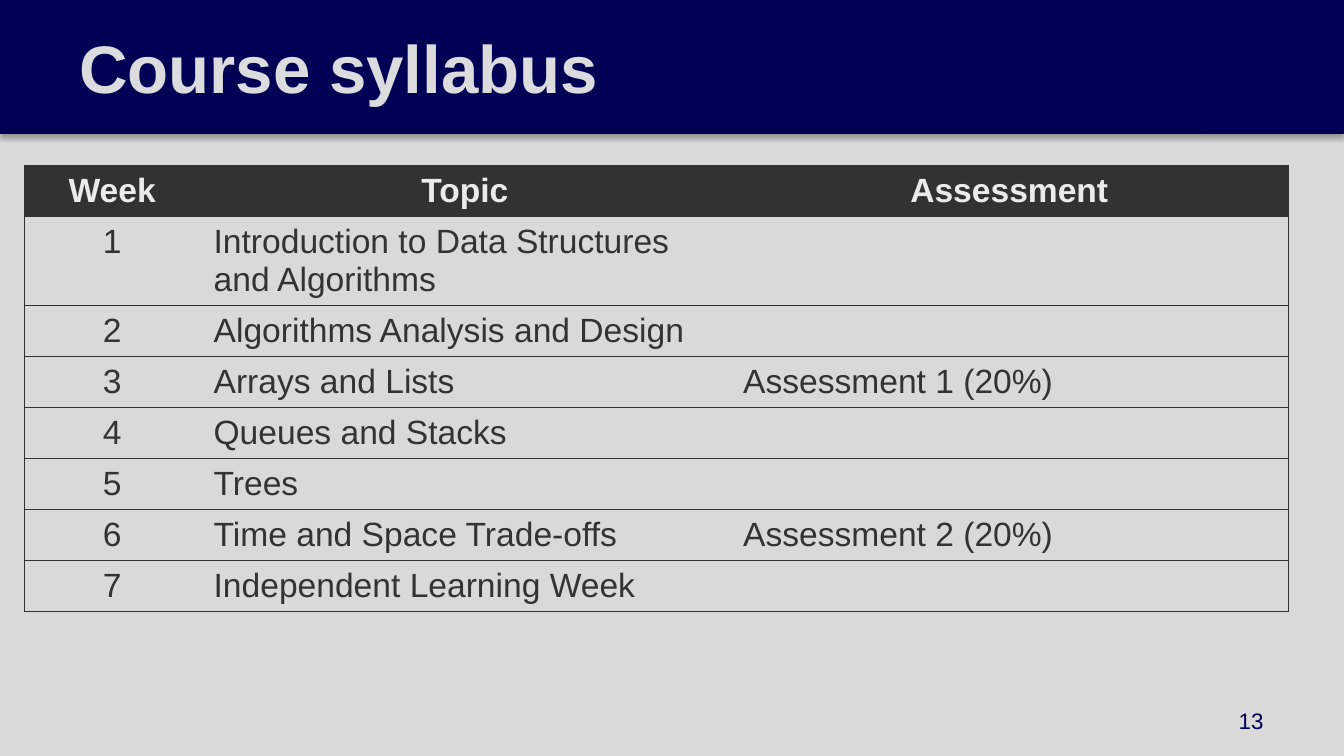
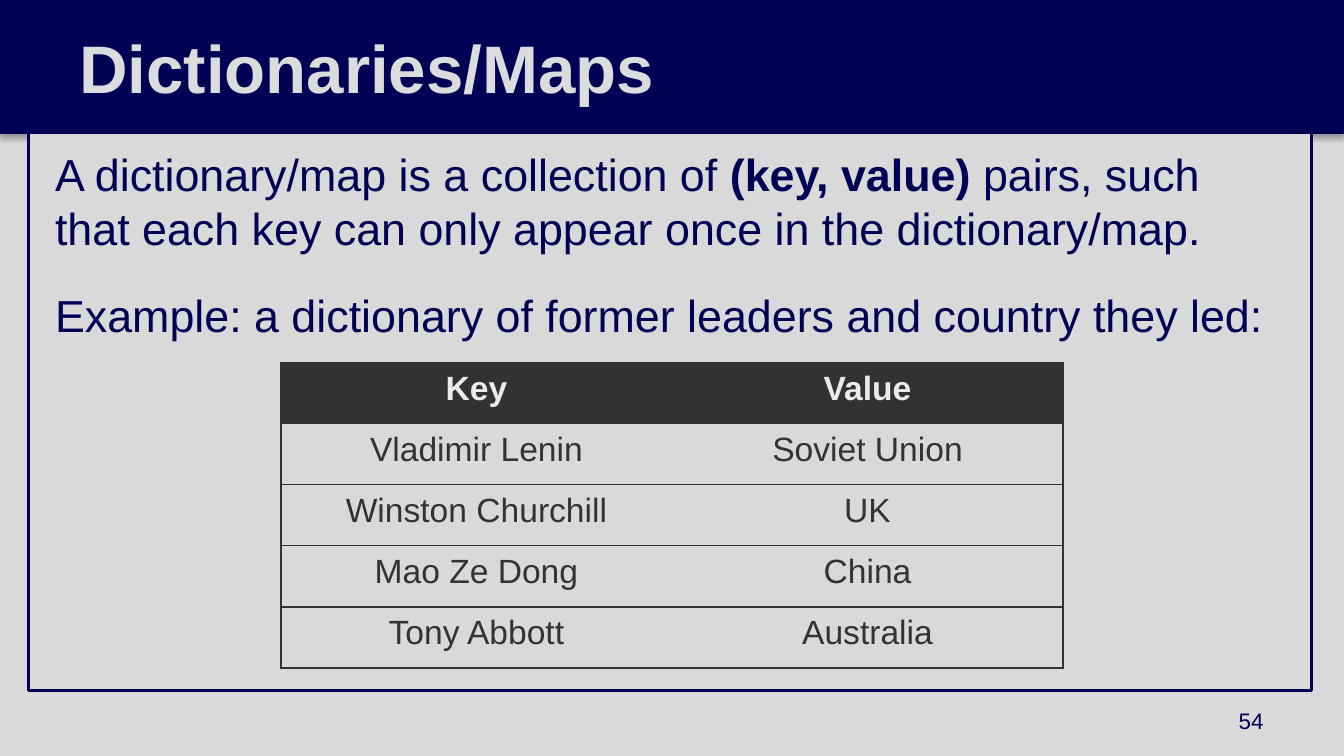
from lxml import etree
from pptx import Presentation
from pptx.dml.color import RGBColor
from pptx.enum.shapes import MSO_SHAPE
from pptx.enum.text import MSO_ANCHOR, PP_ALIGN
from pptx.oxml import parse_xml
from pptx.oxml.ns import nsdecls, qn
from pptx.util import Emu, Pt

RECT = MSO_SHAPE.RECTANGLE
TOP, MIDDLE = MSO_ANCHOR.TOP, MSO_ANCHOR.MIDDLE
LEFT, CENTER, RIGHT = PP_ALIGN.LEFT, PP_ALIGN.CENTER, PP_ALIGN.RIGHT

FONT = "Arial"
NAVY, NAVY_EDGE, GREY = "000054", "000052", "D9D9D9"
TITLE_TEXT, HEAD_TEXT = "DBDCDD", "EBEBEB"
HEAD_FILL, CELL_TEXT = "323232", "333333"
PX = 9144
WIDTH, BAND = 1000, 99
HEIGHT = WIDTH * 9 / 16

SLIDES = [
    {
        "title": "Course syllabus",
        "number": "13",
        "body": [],
        "table": {
            "at": (18, 123),
            "cols": [131, 394, 416],
            "heights": [38, 66] + [38] * 6,
            "aligns": [CENTER, LEFT, LEFT],
            "rows": [
                ("Week", "Topic", "Assessment"),
                ("1", "Introduction to Data Structures and Algorithms", ""),
                ("2", "Algorithms Analysis and Design", ""),
                ("3", "Arrays and Lists", "Assessment 1 (20%)"),
                ("4", "Queues and Stacks", ""),
                ("5", "Trees", ""),
                ("6", "Time and Space Trade-offs", "Assessment 2 (20%)"),
                ("7", "Independent Learning Week", ""),
            ],
        },
    },
    {
        "title": "Dictionaries/Maps",
        "number": "54",
        "body": [
            [
                ("A dictionary/map is a collection of ", False),
                ("(key, value) ", True),
                ("pairs, such that each key can only appear once in the dictionary/map.", False),
            ],
            [("Example: a dictionary of former leaders and country they led:", False)],
        ],
        "table": {
            "at": (209, 270),
            "cols": [291, 291],
            "heights": [227 / 5] * 5,
            "aligns": [CENTER, CENTER],
            "rows": [
                ("Key", "Value"),
                ("Vladimir Lenin", "Soviet Union"),
                ("Winston Churchill", "UK"),
                ("Mao Ze Dong", "China"),
                ("Tony Abbott", "Australia"),
            ],
        },
    },
]


def px(n):
    return Emu(round(n * PX))


def rgb(value):
    return RGBColor.from_string(value)


def add_rect(s, x, y, w, h, fill, line=None, weight=0.75):
    sp = s.shapes.add_shape(RECT, px(x), px(y), px(w), px(h))
    sp.shadow.inherit = False
    sp.fill.solid()
    sp.fill.fore_color.rgb = rgb(fill)
    if line:
        sp.line.color.rgb = rgb(line)
        sp.line.width = Pt(weight)
    else:
        sp.line.fill.background()
    return sp


def set_frame(tf, anchor, left, top, right, bottom):
    tf.word_wrap = True
    tf.vertical_anchor = anchor
    tf.margin_left, tf.margin_top = px(left), px(top)
    tf.margin_right, tf.margin_bottom = px(right), px(bottom)


def add_run(p, text, size, color, bold=False):
    r = p.add_run()
    r.text = text
    r.font.name, r.font.size, r.font.bold = FONT, Pt(size), bold
    r.font.color.rgb = rgb(color)


def add_band(s):
    sp = add_rect(s, 0, 0, WIDTH, BAND, NAVY, NAVY_EDGE)
    effects = sp._element.spPr.find(qn("a:effectLst"))
    effects.append(parse_xml(
        f'<a:outerShdw {nsdecls("a")} blurRad="{Pt(3.1)}" dist="{Pt(1.8)}" '
        'dir="5400000" algn="t" rotWithShape="0"><a:srgbClr val="000000">'
        '<a:alpha val="35000"/></a:srgbClr></a:outerShdw>'))


def add_title(s, text):
    tf = add_rect(s, 0, 0, 903, BAND, NAVY).text_frame
    set_frame(tf, MIDDLE, 59, 10, 40, 10)
    p = tf.paragraphs[0]
    p.alignment = LEFT
    add_run(p, text, 36, TITLE_TEXT, True)


def add_body(s, paragraphs):
    tf = add_rect(s, 21, BAND, 955, 415, GREY, NAVY, 1.5).text_frame
    set_frame(tf, TOP, 20, 10, 20, 10)
    for i, runs in enumerate(paragraphs):
        p = tf.add_paragraph() if i else tf.paragraphs[0]
        p.alignment = LEFT
        if i:
            p.space_before = Pt(18)
        for text, bold in runs:
            add_run(p, text, 24, NAVY, bold)


def set_borders(cell, first, last):
    tc_pr = cell._tc.get_or_add_tcPr()
    for side, shown in (("L", first), ("R", last), ("T", True), ("B", True)):
        ln = etree.SubElement(tc_pr, qn(f"a:ln{side}"), w=str(Pt(0.75)))
        if shown:
            fill = etree.SubElement(ln, qn("a:solidFill"))
            etree.SubElement(fill, qn("a:srgbClr"), val=HEAD_FILL)
        else:
            etree.SubElement(ln, qn("a:noFill"))


def set_empty_font(p):
    end = etree.SubElement(p._p, qn("a:endParaRPr"), sz="1800")
    etree.SubElement(end, qn("a:latin"), typeface=FONT)


def add_table(s, at, cols, heights, aligns, rows):
    table = s.shapes.add_table(
        len(rows), len(cols), px(at[0]), px(at[1]), px(sum(cols)), px(sum(heights))).table
    table.horz_banding = False
    for col, w in zip(table.columns, cols):
        col.width = px(w)
    for i, (values, h) in enumerate(zip(rows, heights)):
        head = i == 0
        table.rows[i].height = px(h)
        for j, text in enumerate(values):
            cell = table.cell(i, j)
            set_borders(cell, j == 0, j == len(cols) - 1)
            cell.fill.solid()
            cell.fill.fore_color.rgb = rgb(HEAD_FILL if head else GREY)
            p = cell.text_frame.paragraphs[0]
            p.alignment = CENTER if head else aligns[j]
            if text:
                add_run(p, text, 18, HEAD_TEXT if head else CELL_TEXT, head)
            else:
                set_empty_font(p)


def add_number(s, text):
    tf = s.shapes.add_textbox(px(717), px(521), px(233), px(30)).text_frame
    set_frame(tf, MIDDLE, 10, 5, 10, 5)
    p = tf.paragraphs[0]
    p.alignment = RIGHT
    add_run(p, text, 12, NAVY)


def main():
    prs = Presentation()
    prs.slide_width, prs.slide_height = px(WIDTH), px(HEIGHT)
    for content in SLIDES:
        s = prs.slides.add_slide(prs.slide_layouts[6])
        s.background.fill.solid()
        s.background.fill.fore_color.rgb = rgb(GREY)
        add_band(s)
        if content["body"]:
            add_body(s, content["body"])
        add_title(s, content["title"])
        add_table(s, **content["table"])
        add_number(s, content["number"])
    prs.save("out.pptx")


if __name__ == "__main__":
    main()
